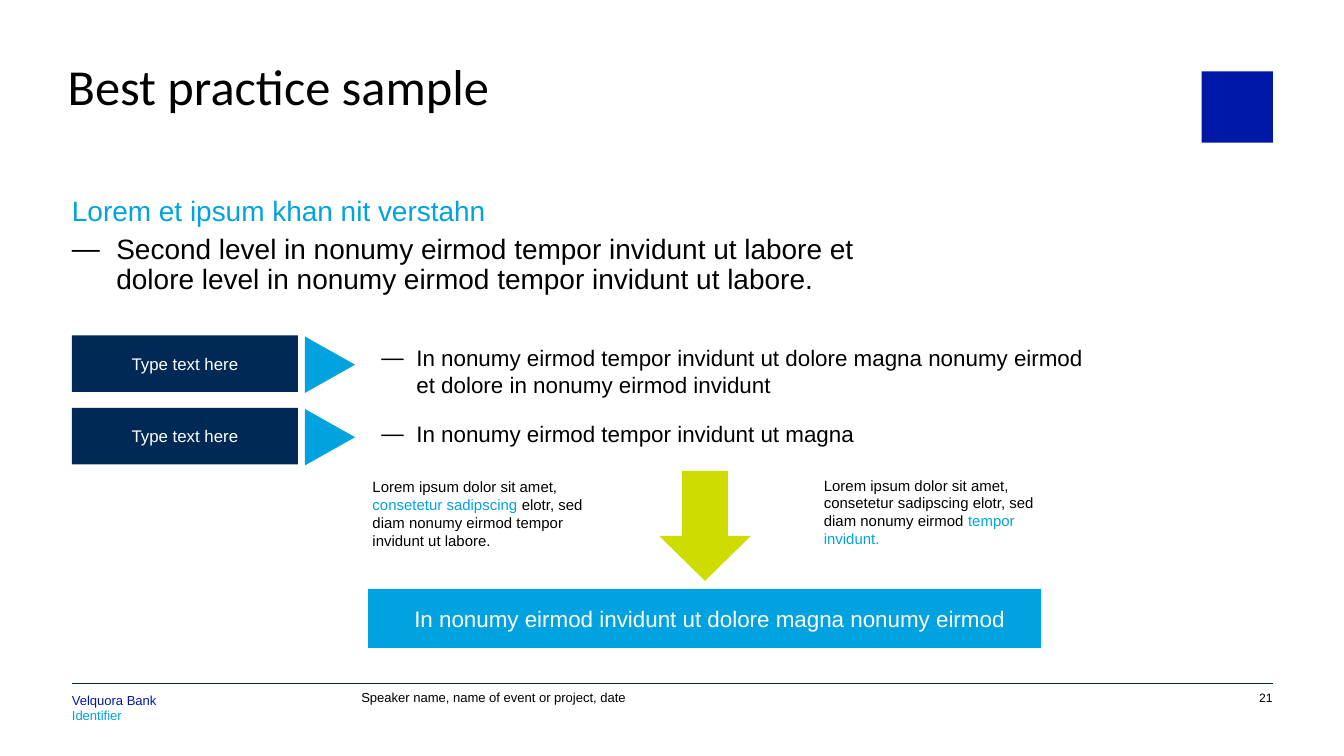
from lxml import etree
from pptx import Presentation
from pptx.dml.color import RGBColor
from pptx.enum.shapes import MSO_CONNECTOR, MSO_SHAPE
from pptx.enum.text import MSO_ANCHOR, PP_ALIGN
from pptx.oxml.ns import qn
from pptx.util import Cm, Pt

RECTANGLE = MSO_SHAPE.RECTANGLE
TRIANGLE = MSO_SHAPE.ISOSCELES_TRIANGLE
DOWN_ARROW = MSO_SHAPE.DOWN_ARROW
STRAIGHT = MSO_CONNECTOR.STRAIGHT
MIDDLE, TOP = MSO_ANCHOR.MIDDLE, MSO_ANCHOR.TOP
LEFT, CENTER, RIGHT = PP_ALIGN.LEFT, PP_ALIGN.CENTER, PP_ALIGN.RIGHT

BLACK = RGBColor(0x00, 0x00, 0x00)
WHITE = RGBColor(0xFF, 0xFF, 0xFF)
BLUE = RGBColor(0x00, 0x18, 0xA8)
SKY = RGBColor(0x00, 0xA3, 0xE0)
NAVY = RGBColor(0x00, 0x2A, 0x55)
RULE = RGBColor(0x0C, 0x23, 0x40)
LIME = RGBColor(0xCE, 0xDC, 0x00)

NO_INSETS = (0, 0, 0, 0)
BOX_INSETS = (0.25, 0.13, 0.25, 0.13)
FOOTER_INSETS = (0, 0.18, 0, 0)
MARGIN = 1.36


def set_frame(shape, insets, anchor=TOP):
    frame = shape.text_frame
    frame.word_wrap = True
    frame.vertical_anchor = anchor
    (frame.margin_left, frame.margin_top,
     frame.margin_right, frame.margin_bottom) = map(Cm, insets)
    return frame


def add_text(slide, box, insets=BOX_INSETS):
    return set_frame(slide.shapes.add_textbox(*map(Cm, box)), insets)


def add_block(slide, kind, box, fill):
    block = slide.shapes.add_shape(kind, *map(Cm, box))
    block.shadow.inherit = False
    block.fill.solid()
    block.fill.fore_color.rgb = fill
    block.line.fill.background()
    return block


def style(paragraph, size, color, align=LEFT, spacing=None, gap=0, font="Arial"):
    paragraph.font.name = font
    paragraph.font.size = Pt(size)
    paragraph.font.color.rgb = color
    paragraph.alignment = align
    paragraph.line_spacing = spacing
    paragraph.space_before = paragraph.space_after = Pt(gap)


def add_dash(paragraph, indent):
    properties = paragraph._p.get_or_add_pPr()
    properties.set("marL", str(Cm(indent)))
    properties.set("indent", str(-Cm(indent)))
    etree.SubElement(properties, qn("a:buFont")).set("typeface", "Arial")
    etree.SubElement(properties, qn("a:buChar")).set("char", "—")


def add_header(slide, box):
    left, top, width, height = box
    logo_size = 1.35
    title = add_text(slide, (left, top, width - 2.8, height), (0, 0, 1.5, 0))
    title.text = "Best practice sample"
    style(title.paragraphs[0], 27, BLACK, spacing=0.8, font="Calibri")
    # Plain square in the logo position
    add_block(slide, RECTANGLE,
              (left + width - logo_size, top + 0.08, logo_size, logo_size), BLUE)


def add_intro(slide, box):
    intro = add_text(slide, box, NO_INSETS)
    intro.text = ("Lorem et ipsum khan nit verstahn\n"
                  "Second level in nonumy eirmod tempor invidunt ut labore et "
                  "dolore level in nonumy eirmod tempor invidunt ut labore.")
    heading, detail = intro.paragraphs
    style(heading, 15, SKY, spacing=0.9, gap=2)
    style(detail, 15, BLACK, spacing=0.9, gap=2)
    add_dash(detail, 0.84)


def add_step(slide, box, detail_top, detail_text):
    left, top, width, height = box
    label_width, pointer_width, detail_left = 4.27, 0.95, 5.6
    # Label
    label = add_block(slide, RECTANGLE, (left, top, label_width, height), NAVY)
    frame = set_frame(label, (0.13, 0.05, 0.13, 0.05), MIDDLE)
    frame.text = "Type text here"
    style(frame.paragraphs[0], 9, WHITE, CENTER)
    # Pointer, turned about its centre to face the detail
    pointer_left = left + label_width + 0.13 - (height - pointer_width) / 2
    pointer_top = top + 0.02 + (height - pointer_width) / 2
    pointer = add_block(slide, TRIANGLE,
                        (pointer_left, pointer_top, height, pointer_width), SKY)
    pointer.rotation = 90
    # Detail
    detail = add_text(slide, (left + detail_left, detail_top,
                              width - detail_left, 0.86))
    detail.text = detail_text
    style(detail.paragraphs[0], 12, BLACK, gap=3)
    add_dash(detail.paragraphs[0], 0.66)


def add_note(slide, box, parts):
    paragraph = add_text(slide, box).paragraphs[0]
    style(paragraph, 8, BLACK, gap=3)
    for words, color in parts:
        run = paragraph.add_run()
        run.text = words
        run.font.color.rgb = color


def add_conclusion(slide, box):
    left, top, width, height = box
    # Arrow between the two notes
    arrow = add_block(slide, DOWN_ARROW, (left + 5.5, top, 1.73, 2.08), LIME)
    arrow.adjustments[1] = 0.49
    add_note(slide, (left - 0.17, top, 5.13, 1.88), [
        ("Lorem ipsum dolor sit amet, ", BLACK),
        ("consetetur sadipscing ", SKY),
        ("elotr, sed diam nonumy eirmod tempor invidunt ut labore.", BLACK)])
    add_note(slide, (left + 8.36, top - 0.03, 5.03, 1.9), [
        ("Lorem ipsum dolor sit amet, consetetur sadipscing elotr, "
         "sed diam nonumy eirmod ", BLACK),
        ("tempor invidunt.", SKY)])
    # Result bar
    bar_height = 1.12
    bar = add_block(slide, RECTANGLE,
                    (left, top + height - bar_height, width, bar_height), SKY)
    frame = set_frame(bar, (0.87, 0.1, 0.18, 0.1), MIDDLE)
    frame.text = "In nonumy eirmod invidunt ut dolore magna nonumy eirmod"
    style(frame.paragraphs[0], 12, WHITE)


def add_footer(slide, box):
    left, top, width, height = box
    line = slide.shapes.add_connector(STRAIGHT, Cm(left), Cm(top),
                                      Cm(left + width), Cm(top))
    line.line.color.rgb = RULE
    line.line.width = Pt(0.5)
    etree.SubElement(line._element.spPr, qn("a:effectLst"))

    sender = add_text(slide, (left, top, 5, height), FOOTER_INSETS)
    sender.text = "Velquora Bank\nIdentifier"
    for paragraph, color in zip(sender.paragraphs, (BLUE, SKY)):
        style(paragraph, 7, color, spacing=Pt(8))

    event = add_text(slide, (left + 5.47, top, 6.35, height), FOOTER_INSETS)
    event.text = "Speaker name, name of event or project, date"
    style(event.paragraphs[0], 7, BLACK, spacing=Pt(6.5))

    number = add_text(slide, (left + width - 1.37, top, 1.37, height),
                      FOOTER_INSETS)
    number.text = "21"
    style(number.paragraphs[0], 6.5, BLACK, RIGHT, Pt(6.5))


def main():
    deck = Presentation()
    deck.slide_width, deck.slide_height = Cm(25.4), Cm(14.29)
    slide = deck.slides.add_slide(deck.slide_layouts[6])

    add_header(slide, (1.28, 1.27, 22.78, 1.5))
    add_intro(slide, (MARGIN, 3.73, 15.42, 2.24))
    steps = [
        (6.38, "In nonumy eirmod tempor invidunt ut dolore magna nonumy eirmod"
               "\vet dolore in nonumy eirmod invidunt"),
        (7.82, "In nonumy eirmod tempor invidunt ut magna")]
    for row, (detail_top, detail_text) in enumerate(steps):
        add_step(slide, (MARGIN, 6.34 + row * 1.37, 19.5, 1.07),
                 detail_top, detail_text)
    add_conclusion(slide, (6.96, 8.9, 12.72, 3.35))
    add_footer(slide, (MARGIN, 12.92, 22.69, 0.69))

    deck.save("out.pptx")


if __name__ == "__main__":
    main()
